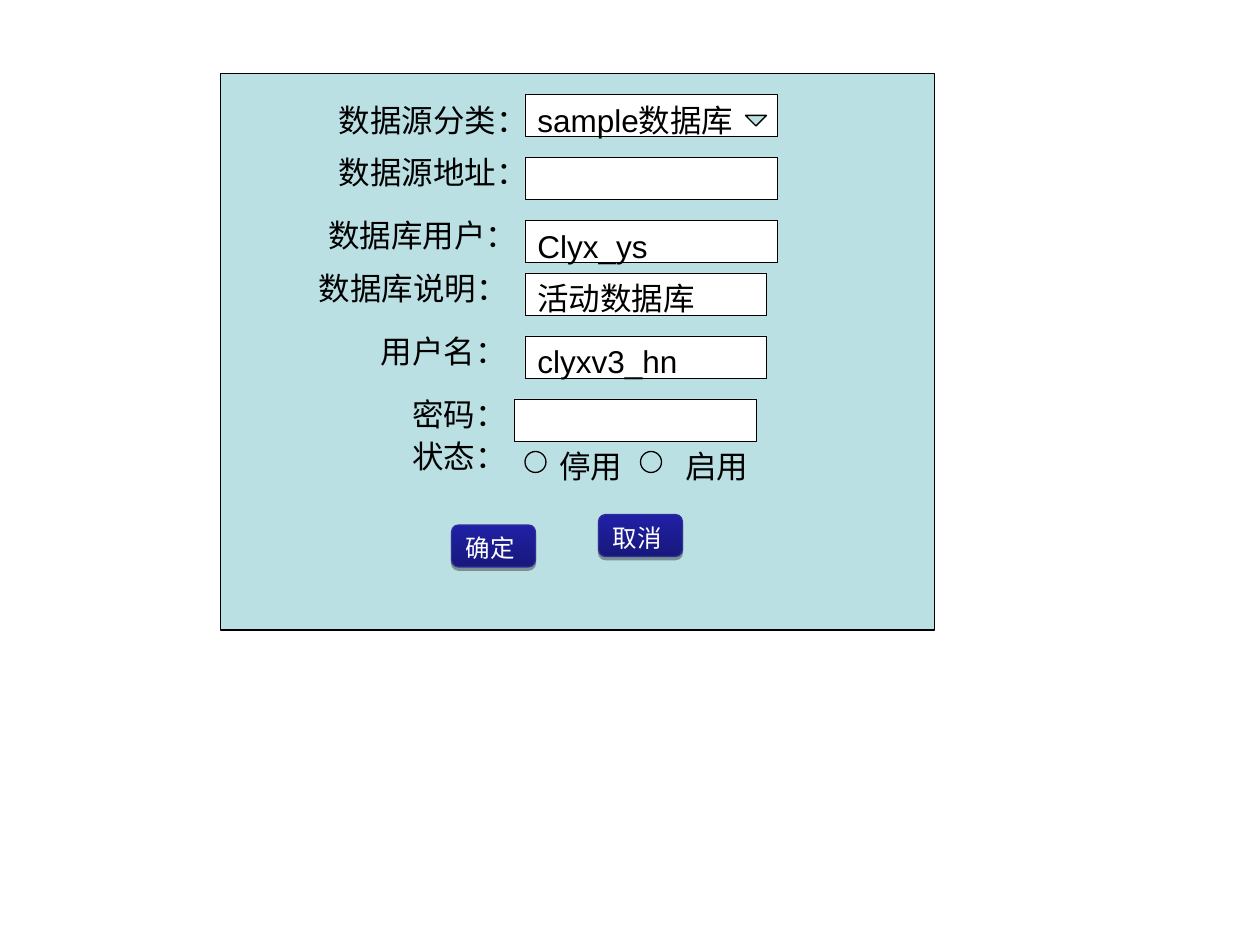
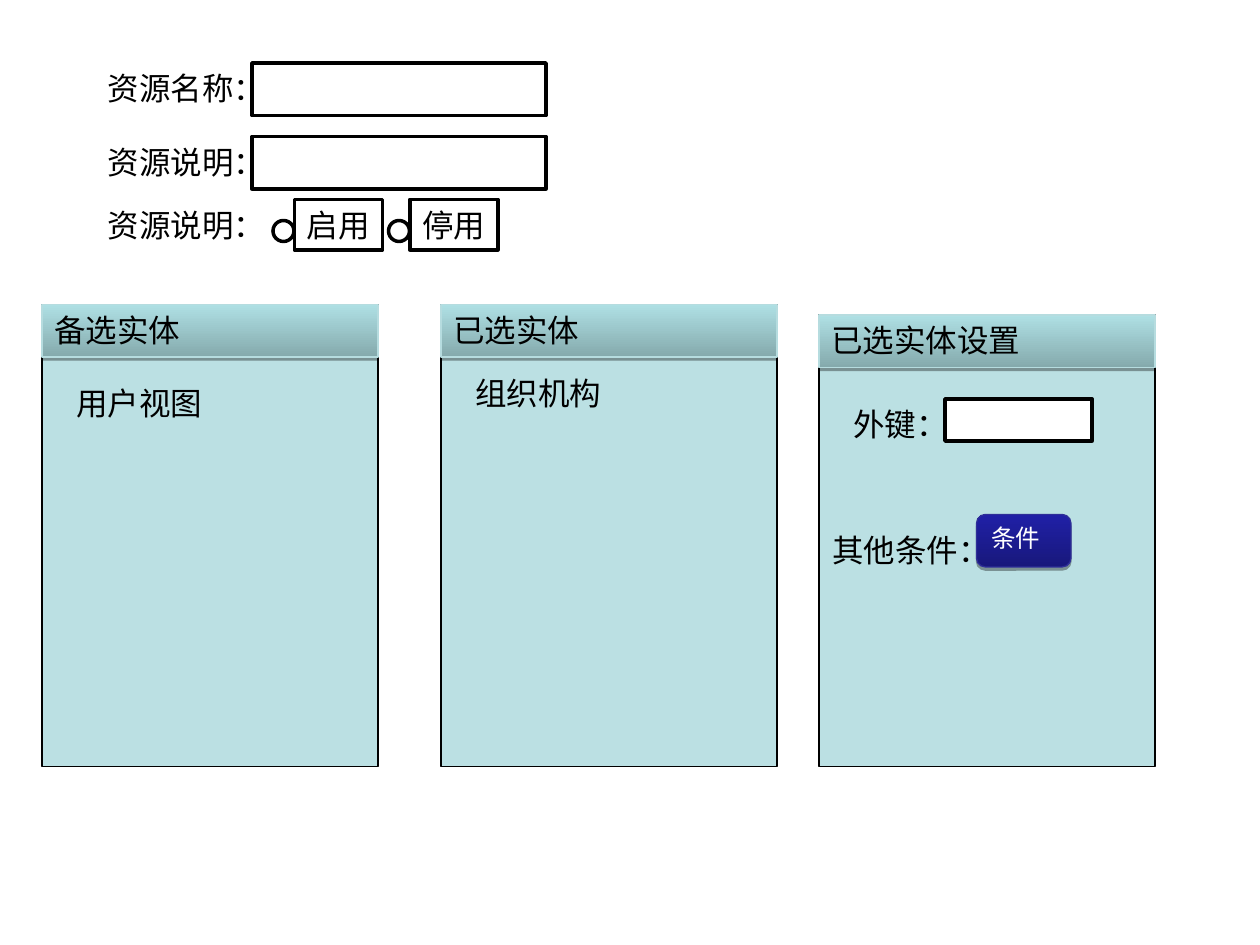
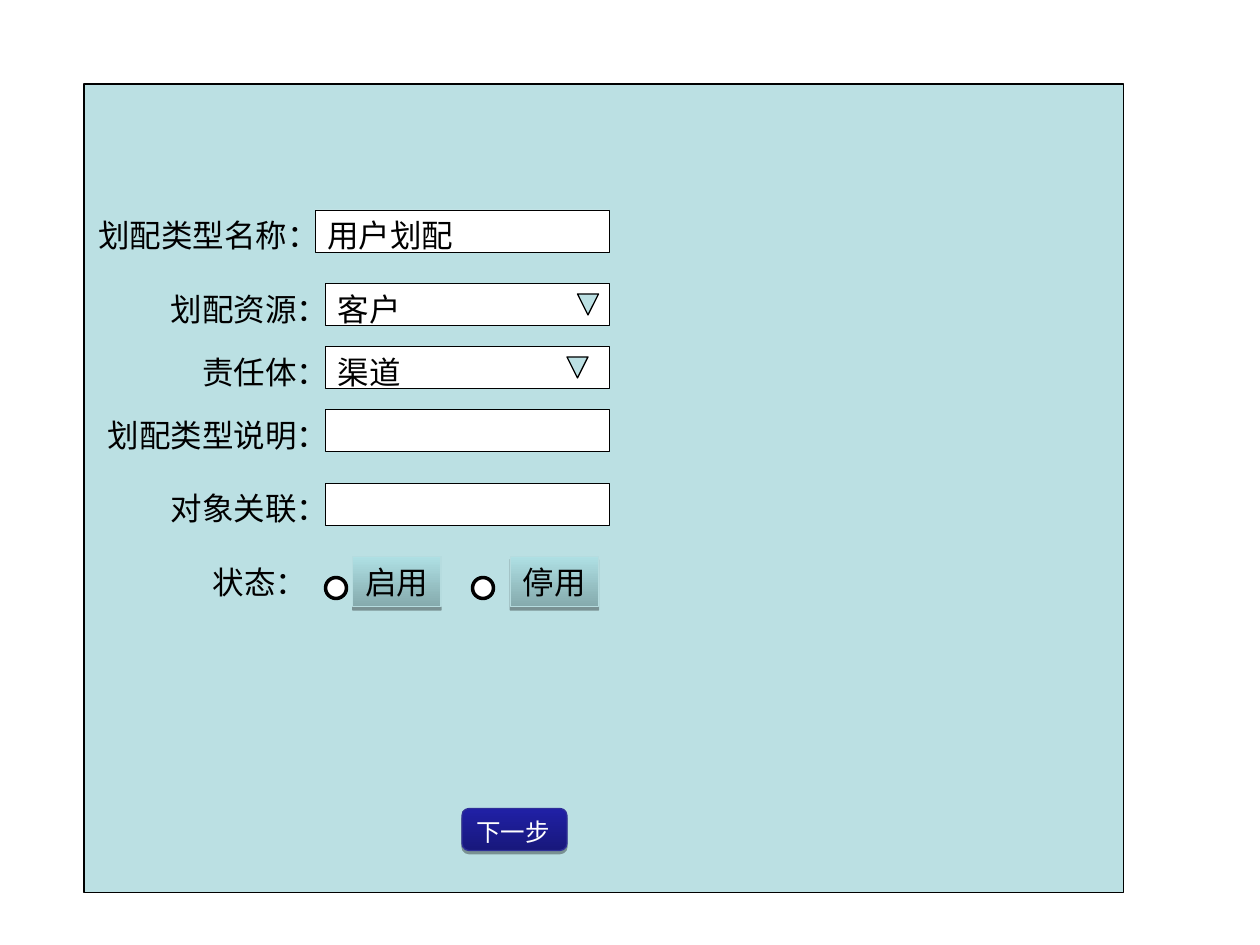
from dataclasses import dataclass

from lxml.etree import SubElement
from pptx import Presentation
from pptx.dml.color import RGBColor
from pptx.enum.shapes import MSO_SHAPE
from pptx.enum.text import MSO_ANCHOR, MSO_AUTO_SIZE, PP_ALIGN
from pptx.oxml.ns import qn
from pptx.util import Pt


@dataclass(frozen=True)
class Theme:
    font: str = "Arial"
    body_size: float = 18
    button_size: float = 14
    ink: str = "000000"
    paper: str = "FFFFFF"
    panel: str = "BBE0E3"
    header: tuple = ("85AAAD", "AFE0E4")
    header_line: str = "B6DCDF"
    button: tuple = ("18187C", "2020A6")
    button_line: str = "2F2F98"
    hairline: float = 0.25
    thin: float = 0.75
    thick: float = 2
    label_shift: float = 0.4
    label_height: float = 28.8
    side_insets: float = 14.4
    radio_size: float = 12
    header_height: float = 30
    shadow_distance: float = 1.8


THEME = Theme()

FIXED_TEXT = {
    "word_wrap": True,
    "auto_size": MSO_AUTO_SIZE.NONE,
    "vertical_anchor": MSO_ANCHOR.TOP,
}
FITTED_TEXT = {
    "word_wrap": False,
    "auto_size": MSO_AUTO_SIZE.SHAPE_TO_FIT_TEXT,
    "vertical_anchor": MSO_ANCHOR.TOP,
}


def apply_format(target, values):
    for name, value in values.items():
        setattr(target, name, value)


def write_text(shape, text, frame_format, size=THEME.body_size, color=THEME.ink):
    frame = shape.text_frame
    apply_format(frame, frame_format)
    paragraph = frame.paragraphs[0]
    paragraph.alignment = PP_ALIGN.LEFT
    run = paragraph.add_run()
    run.text = text
    apply_format(run.font, {"name": THEME.font, "size": Pt(size)})
    run.font.color.rgb = RGBColor.from_string(color)


def fitted_width(text):
    return len(text) * THEME.body_size + THEME.side_insets


def add_box(slide, kind, bounds, fill, line, width):
    shape = slide.shapes.add_shape(kind, *map(Pt, bounds))
    shape.shadow.inherit = False
    shape.fill.solid()
    shape.fill.fore_color.rgb = RGBColor.from_string(fill)
    shape.line.color.rgb = RGBColor.from_string(line)
    shape.line.width = Pt(width)
    return shape


def add_raised_box(slide, kind, bounds, gradient, line):
    shape = add_box(slide, kind, bounds, gradient[0], line, THEME.thin)
    shape.fill.gradient()
    shape.fill.gradient_angle = 90
    for stop, color in zip(shape.fill.gradient_stops, gradient):
        stop.color.rgb = RGBColor.from_string(color)
    effects = shape._element.spPr.find(qn("a:effectLst"))
    shadow = SubElement(
        effects,
        qn("a:outerShdw"),
        dist=str(Pt(THEME.shadow_distance)),
        dir="5400000",
        rotWithShape="0",
    )
    color = SubElement(shadow, qn("a:srgbClr"), val=THEME.ink)
    SubElement(color, qn("a:alpha"), val="35000")
    return shape


def add_label(slide, text, left, top):
    bounds = (left + THEME.label_shift, top, fitted_width(text), THEME.label_height)
    write_text(slide.shapes.add_textbox(*map(Pt, bounds)), text, FITTED_TEXT)


def add_field(slide, bounds, value="", width=THEME.hairline):
    field = add_box(slide, MSO_SHAPE.RECTANGLE, bounds, THEME.paper, THEME.ink, width)
    if value:
        write_text(field, value, FIXED_TEXT)


def add_panel(slide, bounds):
    add_box(slide, MSO_SHAPE.RECTANGLE, bounds, THEME.panel, THEME.ink, THEME.thin)


def add_titled_panel(slide, title, left, top, width, height):
    add_panel(slide, (left, top, width, height))
    bounds = (left, top, width, THEME.header_height)
    header = add_raised_box(
        slide, MSO_SHAPE.RECTANGLE, bounds, THEME.header, THEME.header_line
    )
    write_text(header, title, FIXED_TEXT)


def add_button(slide, text, bounds):
    button = add_raised_box(
        slide, MSO_SHAPE.ROUNDED_RECTANGLE, bounds, THEME.button, THEME.button_line
    )
    write_text(button, text, FIXED_TEXT, THEME.button_size, THEME.paper)


def add_radio(slide, left, top, fill=THEME.paper, width=THEME.thick):
    bounds = (left, top, THEME.radio_size, THEME.radio_size)
    add_box(slide, MSO_SHAPE.FLOWCHART_CONNECTOR, bounds, fill, THEME.ink, width)


def add_dropdown_arrow(slide, bounds):
    arrow = add_box(
        slide, MSO_SHAPE.ISOSCELES_TRIANGLE, bounds, THEME.panel, THEME.ink, THEME.thin
    )
    arrow._element.spPr.find(qn("a:xfrm")).set("flipV", "1")


def add_boxed_option(slide, text, left, top):
    bounds = (left, top, fitted_width(text), THEME.label_height)
    option = add_box(
        slide, MSO_SHAPE.RECTANGLE, bounds, THEME.paper, THEME.ink, THEME.thick
    )
    write_text(option, text, FITTED_TEXT)


def add_raised_option(slide, text, left, top):
    bounds = (left, top, fitted_width(text), THEME.label_height)
    option = add_raised_box(
        slide, MSO_SHAPE.RECTANGLE, bounds, THEME.header, THEME.header_line
    )
    write_text(option, text, FITTED_TEXT)


def build_data_source_form(slide):
    add_panel(slide, (126, 42, 408, 318))
    rows = [
        ("数据源分类：", 186, 54, 300, 54, 144, "sample数据库"),
        ("数据源地址：", 186, 84, 300, 90, 144, ""),
        ("数据库用户：", 180, 120, 300, 126, 144, "Clyx_ys"),
        ("数据库说明：", 174.6, 150, 300, 156, 138, "活动数据库"),
        ("用户名：", 210, 186, 300, 192, 138, "clyxv3_hn"),
        ("密码：", 228, 222, 294, 228, 138, ""),
    ]
    for label, label_left, label_top, left, top, width, value in rows:
        add_label(slide, label, label_left, label_top)
        add_field(slide, (left, top, width, 24), value)
    add_dropdown_arrow(slide, (426, 66, 12, 6))

    add_label(slide, "状态：", 228, 246)
    for text, radio_left, text_left in [("停用", 300, 312), ("启用", 366, 384)]:
        add_radio(slide, radio_left, 258, THEME.panel, THEME.thin)
        add_label(slide, text, text_left, 252)

    add_button(slide, "确定", (258, 300, 48, 24))
    add_button(slide, "取消", (342, 294, 48, 24))


def build_resource_form(slide):
    for label, top in [("资源名称：", 36), ("资源说明：", 78)]:
        add_label(slide, label, 54, top)
        add_field(slide, (144, top, 168, 30), width=THEME.thick)

    add_label(slide, "资源说明：", 54, 114)
    for text, left in [("启用", 156), ("停用", 222)]:
        add_radio(slide, left, 126)
        add_boxed_option(slide, text, left + THEME.radio_size + 0.2, 114)

    panels = [
        ("备选实体", 24, 174, 264),
        ("已选实体", 252, 174, 264),
        ("已选实体设置", 468, 180, 258),
    ]
    for title, left, top, height in panels:
        add_titled_panel(slide, title, left, top, 192, height)

    labels = [
        ("用户视图", 36, 216),
        ("组织机构", 264, 210),
        ("外键：", 480, 228),
        ("其他条件：", 468, 300),
    ]
    for label in labels:
        add_label(slide, *label)
    add_field(slide, (540, 228, 84, 24), width=THEME.thick)
    add_button(slide, "条件", (558, 294, 54, 30))


def build_allocation_form(slide):
    add_panel(slide, (48, 48, 594, 462))
    field_right = 348
    rows = [
        ("划配类型名称：", 48.6, 180, 120, "用户划配"),
        ("划配资源：", 90, 186, 162, "客户"),
        ("责任体：", 108, 186, 198, "渠道"),
        ("划配类型说明：", 54, 186, 234, ""),
        ("对象关联：", 90, 186, 276, ""),
    ]
    for label, label_left, left, top, value in rows:
        add_label(slide, label, label_left, top)
        add_field(slide, (left, top, field_right - left, 24), value)
    for left, top in [(330, 168), (324, 204)]:
        add_dropdown_arrow(slide, (left, top, 12, 12))

    add_label(slide, "状态：", 114, 318)
    for text, radio_left, text_left in [("启用", 186, 201.6), ("停用", 270, 291.6)]:
        add_radio(slide, radio_left, 330)
        add_raised_option(slide, text, text_left, 318)

    add_button(slide, "下一步", (264, 462, 60, 24))


def main():
    presentation = Presentation()
    apply_format(presentation, {"slide_width": Pt(720), "slide_height": Pt(540)})
    blank = presentation.slide_layouts[6]
    for build in (build_data_source_form, build_resource_form, build_allocation_form):
        build(presentation.slides.add_slide(blank))
    presentation.save("out.pptx")


if __name__ == "__main__":
    main()
